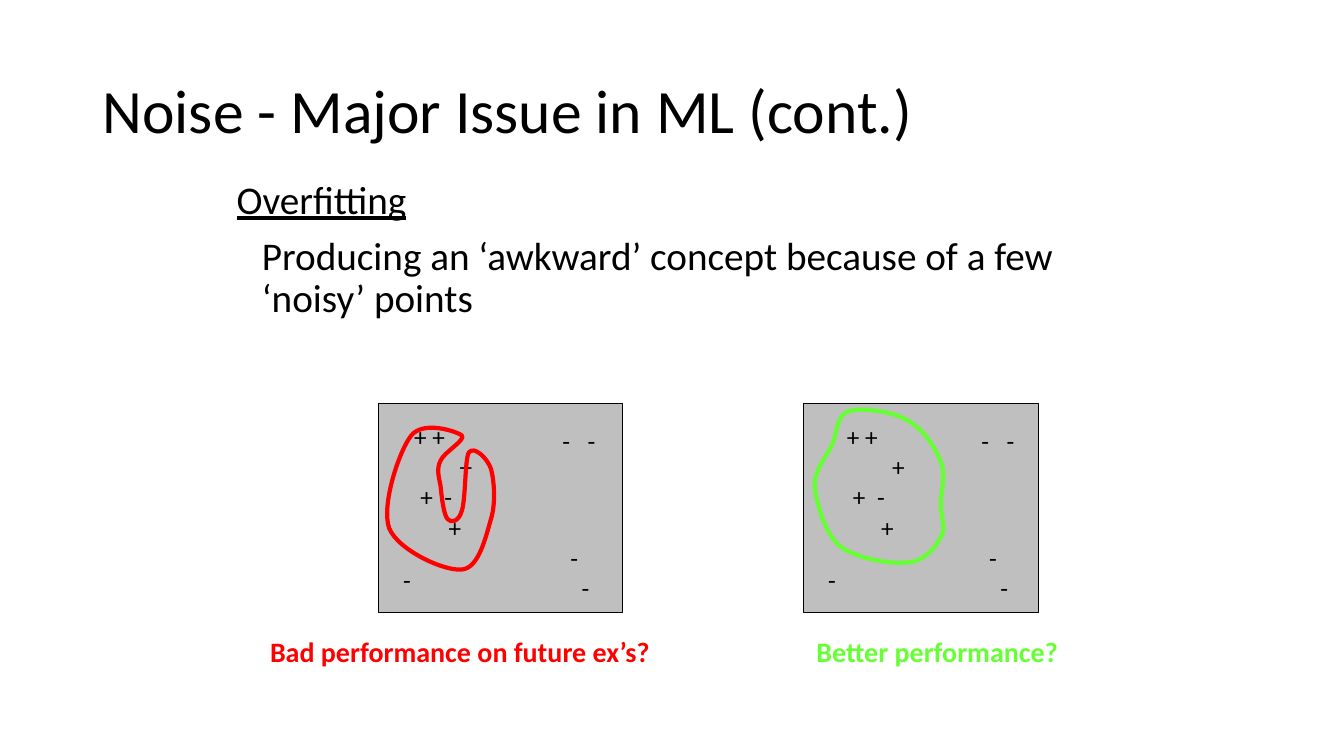
from dataclasses import dataclass

from lxml import etree
from pptx import Presentation
from pptx.dml.color import RGBColor
from pptx.enum.shapes import MSO_SHAPE
from pptx.enum.text import MSO_ANCHOR
from pptx.oxml.ns import qn
from pptx.util import Inches, Pt

BLACK = RGBColor(0x00, 0x00, 0x00)
GREY = RGBColor(0xBF, 0xBF, 0xBF)
RED = RGBColor(0xFF, 0x00, 0x00)
GREEN = RGBColor(0x66, 0xFF, 0x33)

PANEL_TOP, PANEL_HEIGHT = 4.0, 2.08
FULL_WIDTH = 2.42  # panel width for which the mark offsets hold

Point = tuple[float, float]


@dataclass(frozen=True)
class Line:
    """Text of one paragraph and its tab stops in inches."""
    text: str
    stops: tuple[float, ...] = ()


@dataclass(frozen=True)
class MarkBlock:
    left: float
    top: float
    width: float
    lines: tuple[Line, ...]


@dataclass(frozen=True)
class Panel:
    left: float
    width: float
    plus_left: float
    color: RGBColor
    boundary: tuple[Point, ...]  # start, then two handles and an end per curve
    caption: str
    caption_left: float
    caption_width: float


PLUSES = (
    Line("+ +"),
    Line("\t+", (0.45,)),
    Line("\t+\t-", (0.06, 0.3)),
    Line("\t+", (0.34,)),
)
MINUS_BLOCKS = (
    MarkBlock(0.09, 5.55, 0.36, (Line("\t-", (0.06,)),)),
    MarkBlock(1.73, 4.17, 0.64, (Line("-\t-", (0.25,)),)),
    MarkBlock(1.81, 5.33, 0.64, (Line("-"), Line("\t-", (0.11,)))),
)

PANELS = (
    Panel(3.75, FULL_WIDTH, 4.01, RED, (
        (4.08, 4.32),
        (4.2, 4.17), (4.53, 4.28), (4.58, 4.32),
        (4.63, 4.36), (4.4, 4.49), (4.37, 4.57),
        (4.33, 4.65), (4.35, 4.72), (4.37, 4.82),
        (4.38, 4.92), (4.4, 5.11), (4.44, 5.15),
        (4.47, 5.19), (4.55, 5.18), (4.58, 5.07),
        (4.62, 4.96), (4.61, 4.56), (4.65, 4.49),
        (4.7, 4.42), (4.83, 4.54), (4.87, 4.65),
        (4.9, 4.76), (4.92, 4.99), (4.87, 5.15),
        (4.82, 5.32), (4.75, 5.64), (4.58, 5.65),
        (4.41, 5.67), (3.95, 5.46), (3.86, 5.24),
        (3.78, 5.01), (3.96, 4.47), (4.08, 4.32),
    ), "Bad performance on future ex’s?", 2.58, 4.58),
    Panel(7.97, 2.33, 8.3, GREEN, (
        (8.42, 4.08),
        (8.54, 4.04), (8.85, 4.08), (9, 4.17),
        (9.15, 4.25), (9.28, 4.44), (9.33, 4.58),
        (9.39, 4.72), (9.33, 4.88), (9.33, 5),
        (9.33, 5.12), (9.39, 5.24), (9.33, 5.33),
        (9.28, 5.43), (9.17, 5.57), (9, 5.58),
        (8.83, 5.6), (8.49, 5.54), (8.33, 5.42),
        (8.18, 5.29), (8.1, 5), (8.08, 4.83),
        (8.07, 4.67), (8.19, 4.54), (8.25, 4.42),
        (8.31, 4.29), (8.29, 4.12), (8.42, 4.08),
    ), "Better performance?", 8.0, 3.17),
)


def add_text(slide, left: float, top: float, width: float, height: float,
             lines: tuple[Line, ...], size: float, color: RGBColor = BLACK,
             bold: bool = False):
    box = slide.shapes.add_textbox(Inches(left), Inches(top), Inches(width), Inches(height))
    frame = box.text_frame
    frame.word_wrap = True
    for index, line in enumerate(lines):
        paragraph = frame.add_paragraph() if index else frame.paragraphs[0]
        paragraph.text = line.text
        if line.stops:
            tabs = etree.SubElement(paragraph._p.get_or_add_pPr(), qn("a:tabLst"))
            for stop in line.stops:
                etree.SubElement(tabs, qn("a:tab"), pos=str(Inches(stop)), algn="l")
        font = paragraph.font
        font.name, font.size, font.bold = "Calibri", Pt(size), bold
        font.color.rgb = color
    return frame


def add_marks(slide, block: MarkBlock) -> None:
    height = 0.1 + 0.3 * len(block.lines)
    add_text(slide, block.left, block.top, block.width, height, block.lines, 18)


def add_boundary(slide, points: tuple[Point, ...], color: RGBColor) -> None:
    """Draw a closed outline of cubic curves."""
    start, *rest = [(Inches(x), Inches(y)) for x, y in points]
    builder = slide.shapes.build_freeform(*start)
    builder.add_line_segments(rest, close=True)
    outline = builder.convert_to_shape()
    segments = list(outline._element.iter(qn("a:lnTo")))
    for first in range(0, len(segments), 3):
        curve = etree.Element(qn("a:cubicBezTo"))
        segments[first].addprevious(curve)
        for segment in segments[first:first + 3]:
            curve.append(segment[0])
            segment.getparent().remove(segment)
    outline.shadow.inherit = False
    outline.fill.background()
    outline.line.color.rgb = color
    outline.line.width = Pt(3)


def add_panel(slide, panel: Panel) -> None:
    area = slide.shapes.add_shape(MSO_SHAPE.RECTANGLE, Inches(panel.left), Inches(PANEL_TOP),
                                  Inches(panel.width), Inches(PANEL_HEIGHT))
    area.shadow.inherit = False
    area.fill.solid()
    area.fill.fore_color.rgb = GREY
    area.line.color.rgb = BLACK
    area.line.width = Pt(0.75)

    scale = panel.width / FULL_WIDTH
    add_marks(slide, MarkBlock(panel.plus_left, 4.13, 1.15, PLUSES))
    for block in MINUS_BLOCKS:
        add_marks(slide, MarkBlock(panel.left + block.left * scale, block.top,
                                   block.width * scale, block.lines))
    add_boundary(slide, panel.boundary, panel.color)
    add_text(slide, panel.caption_left, 6.25, panel.caption_width, 0.44,
             (Line(panel.caption),), 20, panel.color, bold=True)


def main() -> None:
    deck = Presentation()
    deck.slide_width, deck.slide_height = Inches(13.33), Inches(7.5)
    slide = deck.slides.add_slide(deck.slide_layouts[6])

    title = add_text(slide, 0.92, 0.4, 11.5, 1.45,
                     (Line("Noise - Major Issue in ML (cont.)"),), 44)
    title.vertical_anchor = MSO_ANCHOR.MIDDLE
    title.paragraphs[0].line_spacing = 0.9

    definition = add_text(slide, 2.25, 1.74, 9, 4.95, (
        Line("Overfitting"),
        Line("Producing an ‘awkward’ concept because of a few ‘noisy’ points"),
    ), 28)
    term, meaning = definition.paragraphs
    term.line_spacing = meaning.line_spacing = 0.9
    term.font.underline = True
    meaning.space_before = Pt(10)
    meaning._p.get_or_add_pPr().set("marL", str(Inches(0.25)))

    for panel in PANELS:
        add_panel(slide, panel)
    deck.save("out.pptx")


if __name__ == "__main__":
    main()
